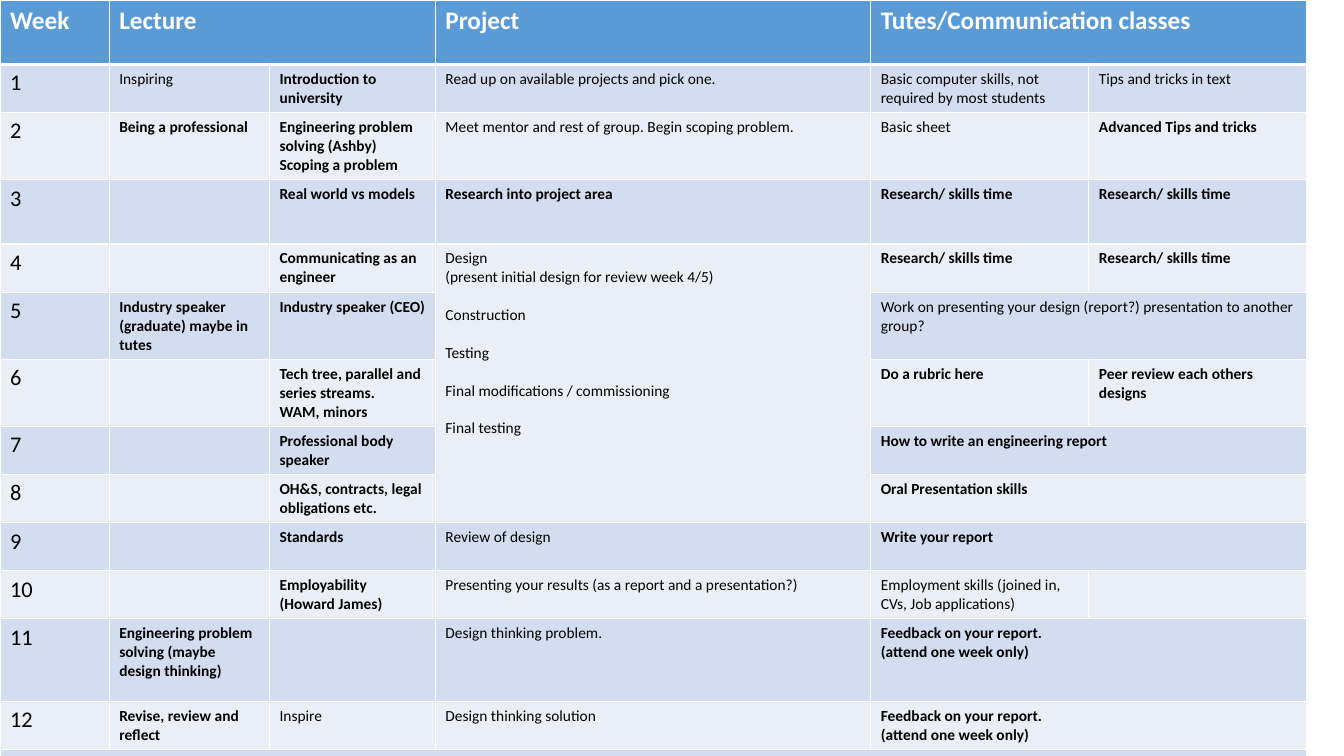
from lxml import etree
from pptx import Presentation
from pptx import util as u
from pptx.dml.color import RGBColor
from pptx.oxml.ns import qn

COLORS = {"header": "5B9BD5", "odd": "D2DEEF", "even": "EAEFF7",
          "line": "FFFFFF", "heading": "FFFFFF", "body": "000000"}
FORMATS = {"heading": {"name": "Calibri", "size": u.Pt(18), "bold": True},
           "week": {"name": "Calibri", "size": u.Pt(16), "bold": False},
           "body": {"name": "Calibri", "size": u.Pt(11), "bold": False},
           "strong": {"name": "Calibri", "size": u.Pt(11), "bold": True}}

COL_WIDTHS = [78, 114.5, 118.5, 311, 155.8, 155.8]
TWO_LINES, THREE_LINES, TALL, TALLEST = 34.3, 47.8, 46, 59
ROW_HEIGHTS = [TALL, TWO_LINES, THREE_LINES, TALL, TWO_LINES, THREE_LINES, THREE_LINES,
               TWO_LINES, TWO_LINES, TWO_LINES, TWO_LINES, TALLEST, TWO_LINES, 51]
BLANK_LINE = 13.4

# A leading * makes a cell bold; a blank line in a cell becomes paragraph spacing.
HEADINGS = ["Week", "Lecture", "", "Project", "Tutes/Communication classes", ""]
RESEARCH = "*Research/ skills time"
FEEDBACK = "*Feedback on your report.\n(attend one week only)"
STAGES = ("Design\n(present initial design for review week 4/5)\n\nConstruction\n\nTesting"
          "\n\nFinal modifications / commissioning\n\nFinal testing")
WEEKS = [
    ["Inspiring", "*Introduction to university", "Read up on available projects and pick one.",
     "Basic computer skills, not required by most students", "Tips and tricks in text"],
    ["*Being a professional", "*Engineering problem solving (Ashby)\nScoping a problem",
     "Meet mentor and rest of group. Begin scoping problem.",
     "Basic sheet", "*Advanced Tips and tricks"],
    ["", "*Real world vs models", "*Research into project area", RESEARCH, RESEARCH],
    ["", "*Communicating as an engineer", STAGES, RESEARCH, RESEARCH],
    ["*Industry speaker (graduate) maybe in tutes", "*Industry speaker (CEO)", "",
     "Work on presenting your design (report?) presentation to another group?", ""],
    ["", "*Tech tree, parallel and series streams.\nWAM, minors", "",
     "*Do a rubric here", "*Peer review each others designs"],
    ["", "*Professional body speaker", "", "*How to write an engineering report", ""],
    ["", "*OH&S, contracts, legal obligations etc.", "", "*Oral Presentation skills", ""],
    ["", "*Standards", "Review of design", "*Write your report", ""],
    ["", "*Employability\n(Howard James)",
     "Presenting your results (as a report and a presentation?)",
     "Employment skills (joined in, CVs, Job applications)", ""],
    ["*Engineering problem solving (maybe design thinking)", "",
     "Design thinking problem.", FEEDBACK, ""],
    ["*Revise, review and reflect", "Inspire", "Design thinking solution", FEEDBACK, ""],
]
WIDE_TUTE_WEEKS = [5, 7, 8, 9, 11, 12]
MERGES = [(0, 1, 0, 2), (0, 4, 0, 5), (4, 3, 8, 3), (13, 0, 13, 5)]
MERGES += [(week, 4, week, 5) for week in WIDE_TUTE_WEEKS]


def set_borders(cell, row):
    tc_pr = cell._tc.get_or_add_tcPr()
    heavy = {0: "lnB", 1: "lnT"}.get(row)
    for side in ("lnL", "lnR", "lnT", "lnB"):
        width = u.Pt(3 if side == heavy else 1)
        ln = etree.SubElement(tc_pr, qn("a:" + side), w=str(int(width)))
        fill = etree.SubElement(ln, qn("a:solidFill"))
        etree.SubElement(fill, qn("a:srgbClr"), val=COLORS["line"])


def set_text(cell, content, kind):
    if content.startswith("*"):
        content, kind = content[1:], "strong"
    tf = cell.text_frame
    p, gap = None, 0
    for line in content.split("\n"):
        if not line:
            gap = BLANK_LINE
            continue
        p = tf.add_paragraph() if p is not None else tf.paragraphs[0]
        p.space_before, gap = u.Pt(gap), 0
        r = p.add_run()
        r.text = line
        for name, value in FORMATS[kind].items():
            setattr(r.font, name, value)
        color = COLORS["heading" if kind == "heading" else "body"]
        r.font.color.rgb = RGBColor.from_string(color)


def style_cell(cell, row):
    set_borders(cell, row)
    band = "header" if row == 0 else "odd" if row % 2 else "even"
    cell.fill.solid()
    cell.fill.fore_color.rgb = RGBColor.from_string(COLORS[band])


def add_timetable(s):
    rows = [HEADINGS] + [[str(n)] + week for n, week in enumerate(WEEKS, 1)]
    rows.append([""] * len(COL_WIDTHS))
    table = s.shapes.add_table(len(rows), len(COL_WIDTHS), 0, 0,
                               u.Pt(sum(COL_WIDTHS)), u.Pt(sum(ROW_HEIGHTS))).table
    for column, width in zip(table.columns, COL_WIDTHS):
        column.width = u.Pt(width)
    for row, height in zip(table.rows, ROW_HEIGHTS):
        row.height = u.Pt(height)
    for i, row in enumerate(rows):
        for j, content in enumerate(row):
            cell = table.cell(i, j)
            style_cell(cell, i)
            set_text(cell, content, "heading" if i == 0 else "week" if j == 0 else "body")
    for top, left, bottom, right in MERGES:
        table.cell(top, left).merge(table.cell(bottom, right))


def main():
    prs = Presentation()
    prs.slide_width, prs.slide_height = u.Pt(960), u.Pt(540)
    s = prs.slides.add_slide(prs.slide_layouts[6])
    add_timetable(s)
    prs.save("out.pptx")


if __name__ == "__main__":
    main()
